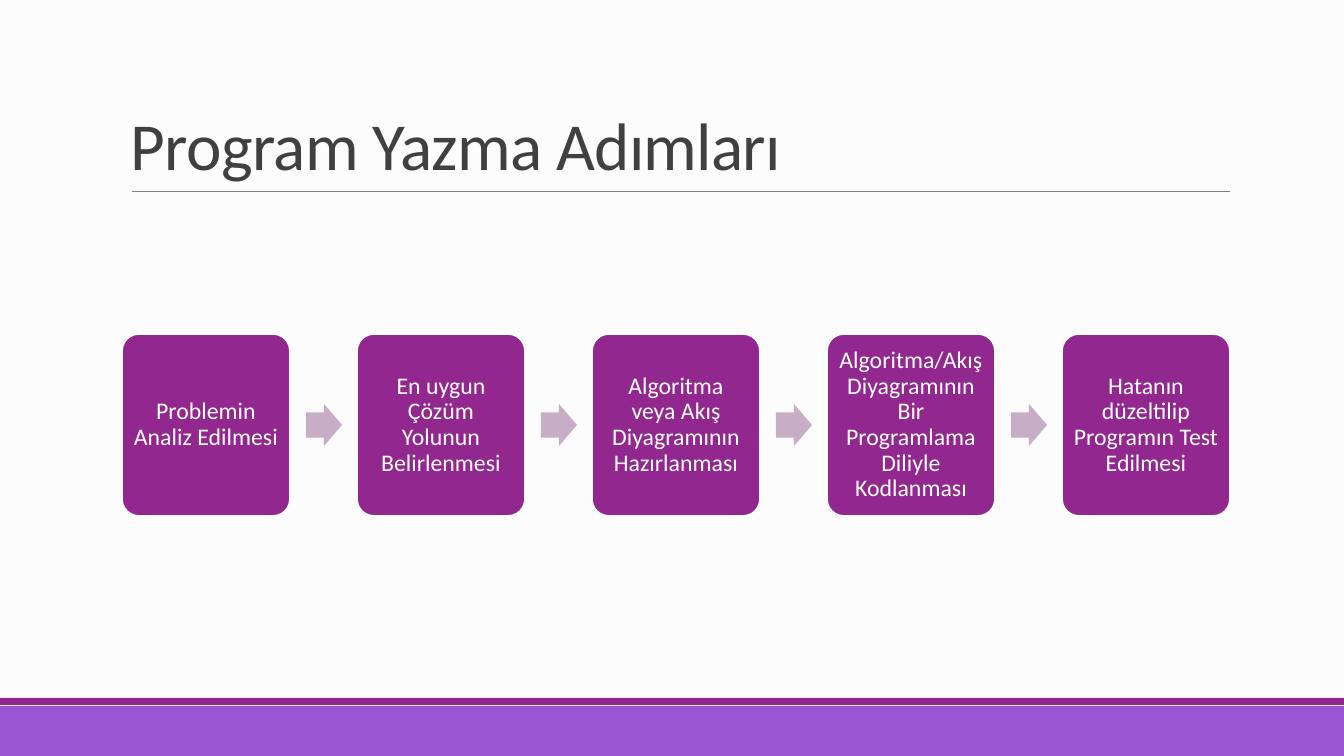
from pptx import Presentation, util as u
from pptx.dml.color import RGBColor
from pptx.enum import shapes, text
from pptx.oxml import parse_xml
from pptx.oxml.ns import nsdecls

PX = 914400 / 100.8
HUES = {
    "back": "FCFCFC", "band": "9B57D3", "main": "92278F", "rule": "808080",
    "title": "404040", "arrow": "C7ADC6", "white": "FFFFFF",
}
STEPS = [
    "Problemin Analiz Edilmesi",
    "En uygun Çözüm Yolunun Belirlenmesi",
    "Algoritma veya Akış Diyagramının Hazırlanması",
    "Algoritma/Akış Diyagramının Bir Programlama Diliyle Kodlanması",
    "Hatanın düzeltilip Programın Test Edilmesi",
]
LEFT, PITCH = 122, 235
KINDS = shapes.MSO_SHAPE


def px(count):
    return u.Emu(round(count * PX))


def hue(name):
    return RGBColor.from_string(HUES[name])


def write(shape, words, size, color, align, anchor, lead, inset, track=0):
    """Fill a shape with one formatted paragraph; track is in 1/100 pt."""
    frame = shape.text_frame
    frame.word_wrap = True
    frame.auto_size = text.MSO_AUTO_SIZE.NONE
    frame.vertical_anchor = anchor
    frame.margin_left = frame.margin_right = px(inset)
    frame.margin_top = frame.margin_bottom = px(7)
    para = frame.paragraphs[0]
    para.alignment = align
    para.line_spacing = lead
    run = para.add_run()
    run.text = words
    run.font.name = "Calibri"
    run.font.size = u.Pt(size)
    run.font.color.rgb = hue(color)
    if track:
        run.font._element.set("spc", str(track))


def block(slide, kind, box, fill, line=None, adjust=()):
    shape = slide.shapes.add_shape(kind, *map(px, box))
    shape.shadow.inherit = False
    shape.fill.solid()
    shape.fill.fore_color.rgb = hue(fill)
    if line:
        shape.line.color.rgb = hue(line)
        shape.line.width = u.Pt(1.25)
    else:
        shape.line.fill.background()
    for i, value in enumerate(adjust):
        shape.adjustments[i] = value
    return shape


def rule(slide, start, end, top):
    line = slide.shapes.add_connector(
        shapes.MSO_CONNECTOR.STRAIGHT, px(start), px(top), px(end), px(top))
    line.line.color.rgb = hue("rule")
    line.line.width = u.Pt(0.5)
    line._element.spPr.append(parse_xml(f"<a:effectLst {nsdecls('a')}/>"))


def head(slide, words):
    title = slide.shapes.title
    title.left, title.top, title.width, title.height = map(px, (121, 31, 1109, 160))
    write(title, words, 48, "title", text.PP_ALIGN.LEFT,
          text.MSO_ANCHOR.BOTTOM, 0.85, 10, track=-50)


def step(slide, left, words):
    card = block(slide, KINDS.ROUNDED_RECTANGLE, (left, 334, 168, 182),
                 "main", "white", [0.1])
    write(card, words, 17, "white", text.PP_ALIGN.CENTER,
          text.MSO_ANCHOR.MIDDLE, 0.9, 7)


def main():
    deck = Presentation()
    deck.slide_width, deck.slide_height = px(1344), px(756)
    slide = deck.slides.add_slide(deck.slide_layouts[5])
    slide.background.fill.solid()
    slide.background.fill.fore_color.rgb = hue("back")

    block(slide, KINDS.RECTANGLE, (0, 706, 1344, 50), "band")
    block(slide, KINDS.RECTANGLE, (0, 698, 1344, 7), "main")
    rule(slide, 132, 1230, 191)
    head(slide, "Program Yazma Adımları")

    for i, words in enumerate(STEPS):
        left = LEFT + i * PITCH
        step(slide, left, words)
        if i < len(STEPS) - 1:
            block(slide, KINDS.RIGHT_ARROW, (left + 184, 404, 36, 42),
                  "arrow", adjust=[0.6, 0.5])
    deck.save("out.pptx")


if __name__ == "__main__":
    main()
